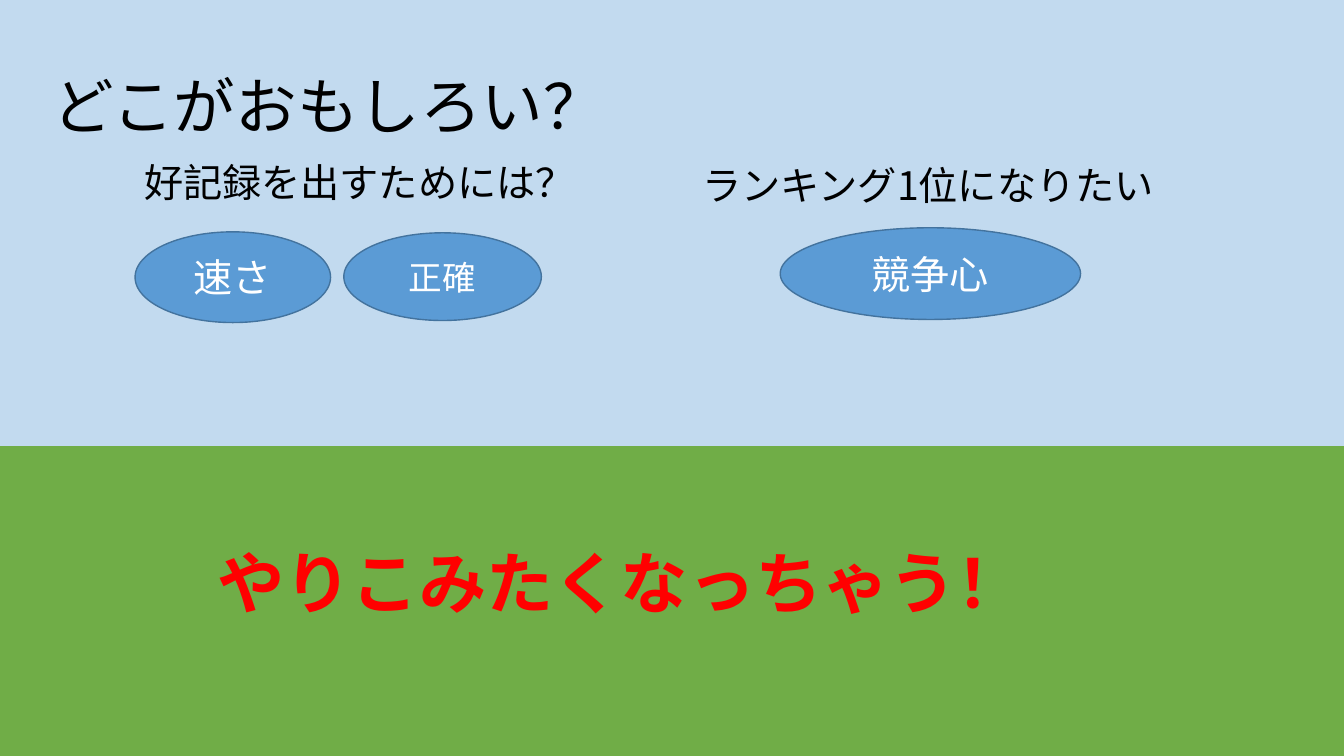
from lxml import etree
from pptx import Presentation
from pptx import util as u
from pptx.dml.color import RGBColor
from pptx.enum import shapes, text
from pptx.oxml.ns import qn

SKY = RGBColor(0xC2, 0xDA, 0xEF)
GRASS = RGBColor(0x70, 0xAD, 0x47)
BLUE = RGBColor(0x5B, 0x9B, 0xD5)
EDGE = RGBColor(0x43, 0x73, 0x9E)
BLACK = RGBColor(0, 0, 0)
WHITE = RGBColor(0xFF, 0xFF, 0xFF)
RED = RGBColor(0xFF, 0, 0)


class Deck:
    """Style and current slide; places are percent shares of the slide."""
    font = "Noto Sans CJK JP"

    def __init__(self):
        self.prs = Presentation()
        self.prs.slide_width = u.Inches(13.33)
        self.prs.slide_height = u.Inches(7.5)
        self.slide = self.prs.slides.add_slide(self.prs.slide_layouts[5])

    def place(self, x, y, w, h):
        wide, high = self.prs.slide_width, self.prs.slide_height
        return [round(part * size / 100) for part, size
                in ((x, wide), (y, high), (w, wide), (h, high))]

    def ground(self, top, low, split):
        fill = self.slide.background.fill
        fill.gradient()
        fill.gradient_angle = 270
        for stop, color in zip(fill.gradient_stops, (top, low)):
            stop.position = split
            stop.color.rgb = color

    def add_run(self, frame, words, size, color, bold=False,
                align=text.PP_ALIGN.LEFT):
        frame.word_wrap = True
        para = frame.paragraphs[0]
        para.alignment = align
        run = para.add_run()
        run.text = words
        font = run.font
        font.name, font.size, font.bold = self.font, u.Pt(size), bold
        font.color.rgb = color
        # East Asian typeface follows the Latin one
        latin = run._r.get_or_add_rPr().find(qn("a:latin"))
        east = etree.Element(qn("a:ea"), typeface=self.font)
        latin.addnext(east)
        return para

    def title(self, words, place, size):
        head = self.slide.shapes.title
        head.left, head.top, head.width, head.height = self.place(*place)
        frame = head.text_frame
        frame.auto_size = text.MSO_AUTO_SIZE.NONE
        frame.vertical_anchor = text.MSO_ANCHOR.MIDDLE
        self.add_run(frame, words, size, BLACK).line_spacing = 0.9

    def label(self, words, place, size, color=BLACK, bold=False):
        frame = self.slide.shapes.add_textbox(*self.place(*place)).text_frame
        self.add_run(frame, words, size, color, bold)
        frame.auto_size = text.MSO_AUTO_SIZE.SHAPE_TO_FIT_TEXT

    def oval(self, words, place, size):
        oval = self.slide.shapes.add_shape(
            shapes.MSO_SHAPE.OVAL, *self.place(*place))
        oval.shadow.inherit = False
        oval.fill.solid()
        oval.fill.fore_color.rgb = BLUE
        oval.line.color.rgb = EDGE
        oval.line.width = u.Pt(1)
        oval.text_frame.vertical_anchor = text.MSO_ANCHOR.MIDDLE
        self.add_run(oval.text_frame, words, size, WHITE,
                     align=text.PP_ALIGN.CENTER)


def main():
    deck = Deck()
    deck.ground(SKY, GRASS, 0.59)
    deck.title("どこがおもしろい？", (3.15, 4.8, 86.25, 19.33), 44)

    # Good records
    deck.label("好記録を出すためには？", (9.98, 20.27, 35.63, 7.6), 28)
    deck.oval("速さ", (10.05, 30.67, 14.55, 12), 28)
    deck.oval("正確", (25.58, 30.8, 14.7, 11.6), 24)

    # Ranking
    deck.label("ランキング1位になりたい", (51.53, 20.67, 35.4, 7.6), 28)
    deck.oval("競争心", (58.05, 30.13, 22.35, 12.13), 28)

    # Conclusion
    deck.label("やりこみたくなっちゃう！", (15.45, 70.93, 62.7, 12.13),
               48, RED, bold=True)
    deck.prs.save("out.pptx")


if __name__ == "__main__":
    main()
